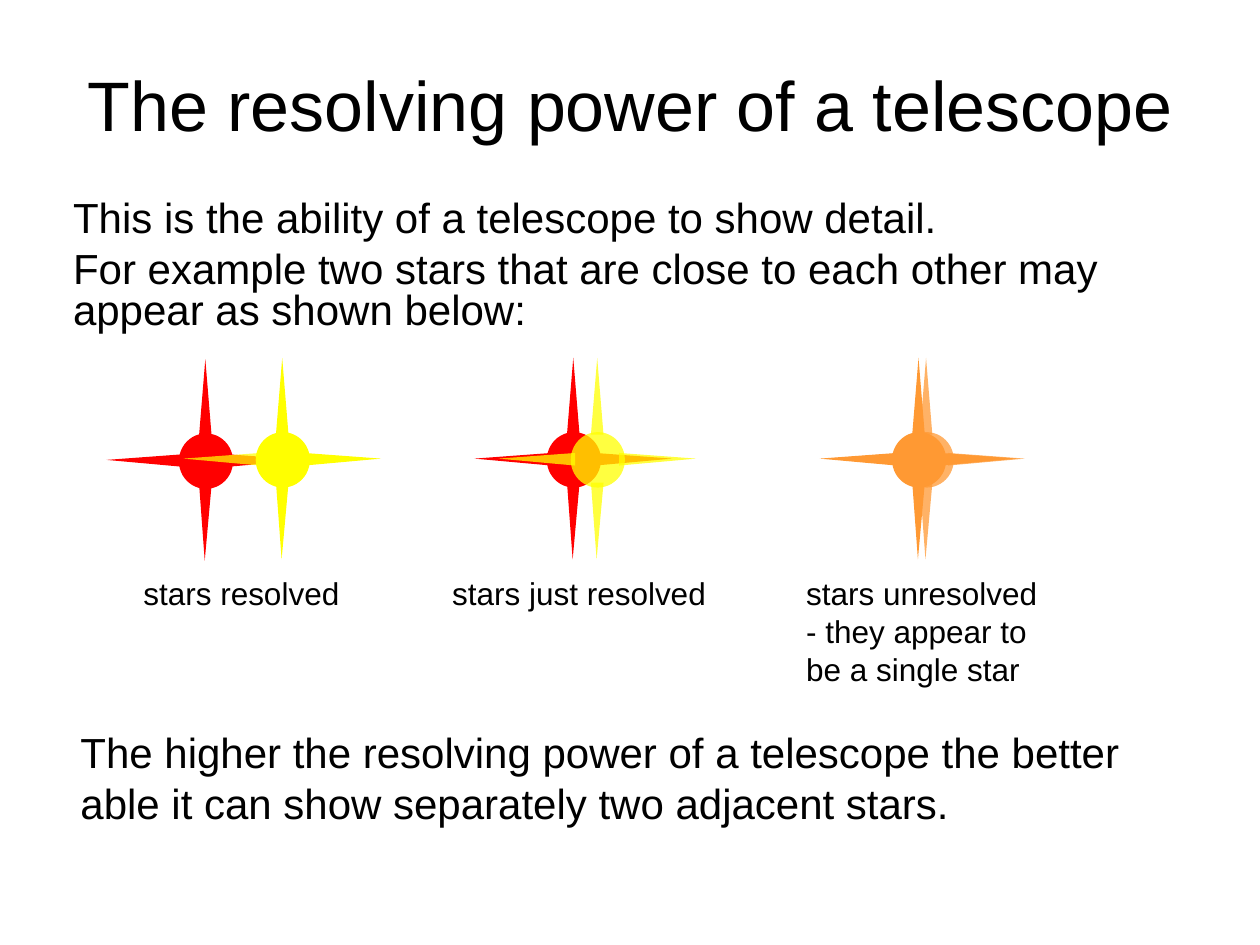
from lxml import etree
from pptx import Presentation
from pptx.dml.color import RGBColor
from pptx.enum.shapes import MSO_SHAPE as Shape
from pptx.enum.text import MSO_ANCHOR as Anchor, MSO_AUTO_SIZE as AutoSize, PP_ALIGN as Align
from pptx.oxml.ns import qn
from pptx.util import Inches, Pt

COLORS = {"text": "000000", "red": "FF0000", "yellow": "FFFF00", "orange": "FF9933"}

TITLE = ("The resolving power of a telescope", (0.5, 0.3, 9, 1.05))
INTRO = ([
    "This is the ability of a telescope to show detail.",
    "For example two stars that are close to each other may appear as shown below:",
], (0.48, 1.55, 8.96, 1.45))
CAPTIONS = [
    ("stars resolved", (1.04, 4.51, 1.84, 0.4), 18),
    ("stars just resolved", (3.49, 4.51, 2.39, 0.4), 18),
    ("stars unresolved - they appear to be a single star", (6.3, 4.51, 2.11, 1), 18),
    ("The higher the resolving power of a telescope the better able it can show "
     "separately two adjacent stars.", (0.54, 5.72, 8.59, 0.9), 24),
]

OPAQUE = {}
SHEER = dict.fromkeys(["core", "top", "left", "bottom", "right"], 75)
STAR_PAIRS = [
    [(1.42, 3.44, "red", OPAQUE), (2.03, 3.43, "yellow", {"left": 72})],
    [(4.34, 3.43, "red", OPAQUE), (4.53, 3.43, "yellow", SHEER)],
    [(7.08, 3.43, "orange", OPAQUE), (7.14, 3.43, "orange", SHEER)],
]
CORE_SIZE = (0.43, 0.44)
RAY_SIZE = (0.1, 0.61)
RAYS = [
    ("top", 0.16, -0.59, 0, 0.5),
    ("left", -0.32, -0.09, 270, 0.554),
    ("bottom", 0.16, 0.4, 180, 0.554),
    ("right", 0.64, -0.09, 90, 0.554),
]


def format_text(paragraph, text, size):
    run = paragraph.add_run()
    run.text = text
    for name, value in {"name": "Arial", "size": Pt(size)}.items():
        setattr(run.font, name, value)
    run.font.color.rgb = RGBColor.from_string(COLORS["text"])


def place(holder, box):
    for name, value in zip(("left", "top", "width", "height"), box):
        setattr(holder, name, Inches(value))


def paint(part, color, alpha):
    part.shadow.inherit = False
    part.line.fill.background()
    part.fill.solid()
    part.fill.fore_color.rgb = RGBColor.from_string(COLORS[color])
    if alpha is not None:
        tint = part.fill._xPr.find(".//" + qn("a:srgbClr"))
        etree.SubElement(tint, qn("a:alpha"), val=str(alpha * 1000))


def add_star(group, x, y, color, alphas):
    core = group.shapes.add_shape(Shape.OVAL, *map(Inches, (x, y, *CORE_SIZE)))
    paint(core, color, alphas.get("core"))
    for side, dx, dy, angle, peak in RAYS:
        ray = group.shapes.add_shape(
            Shape.ISOSCELES_TRIANGLE, *map(Inches, (x + dx, y + dy, *RAY_SIZE)))
        ray.adjustments[0] = peak
        ray.rotation = angle
        if side == "right":
            ray._element.spPr.find(qn("a:xfrm")).set("flipH", "1")
        paint(ray, color, alphas.get(side))


def main():
    deck = Presentation()
    deck.slide_width, deck.slide_height = Inches(10), Inches(7.5)
    slide = deck.slides.add_slide(deck.slide_layouts[1])

    heading, intro = slide.shapes.title, slide.placeholders[1]
    place(heading, TITLE[1])
    heading.text_frame.auto_size = AutoSize.NONE
    heading.text_frame.vertical_anchor = Anchor.MIDDLE
    heading.text_frame.paragraphs[0].alignment = Align.CENTER
    format_text(heading.text_frame.paragraphs[0], TITLE[0], 40)

    place(intro, INTRO[1])
    frame = intro.text_frame
    frame.auto_size = AutoSize.NONE
    for index, sentence in enumerate(INTRO[0]):
        paragraph = frame.add_paragraph() if index else frame.paragraphs[0]
        paragraph.line_spacing = 0.8
        paragraph.space_before = Pt(6 if index else 0)
        properties = paragraph._p.get_or_add_pPr()
        properties.set("marL", "0")
        properties.set("indent", "0")
        etree.SubElement(properties, qn("a:buNone"))
        format_text(paragraph, sentence, 24)

    for pair in STAR_PAIRS:
        group = slide.shapes.add_group_shape()
        for star in pair:
            add_star(group, *star)

    for text, box, size in CAPTIONS:
        caption = slide.shapes.add_textbox(*map(Inches, box)).text_frame
        caption.word_wrap = True
        caption.auto_size = AutoSize.SHAPE_TO_FIT_TEXT
        format_text(caption.paragraphs[0], text, size)

    deck.save("out.pptx")


if __name__ == "__main__":
    main()
